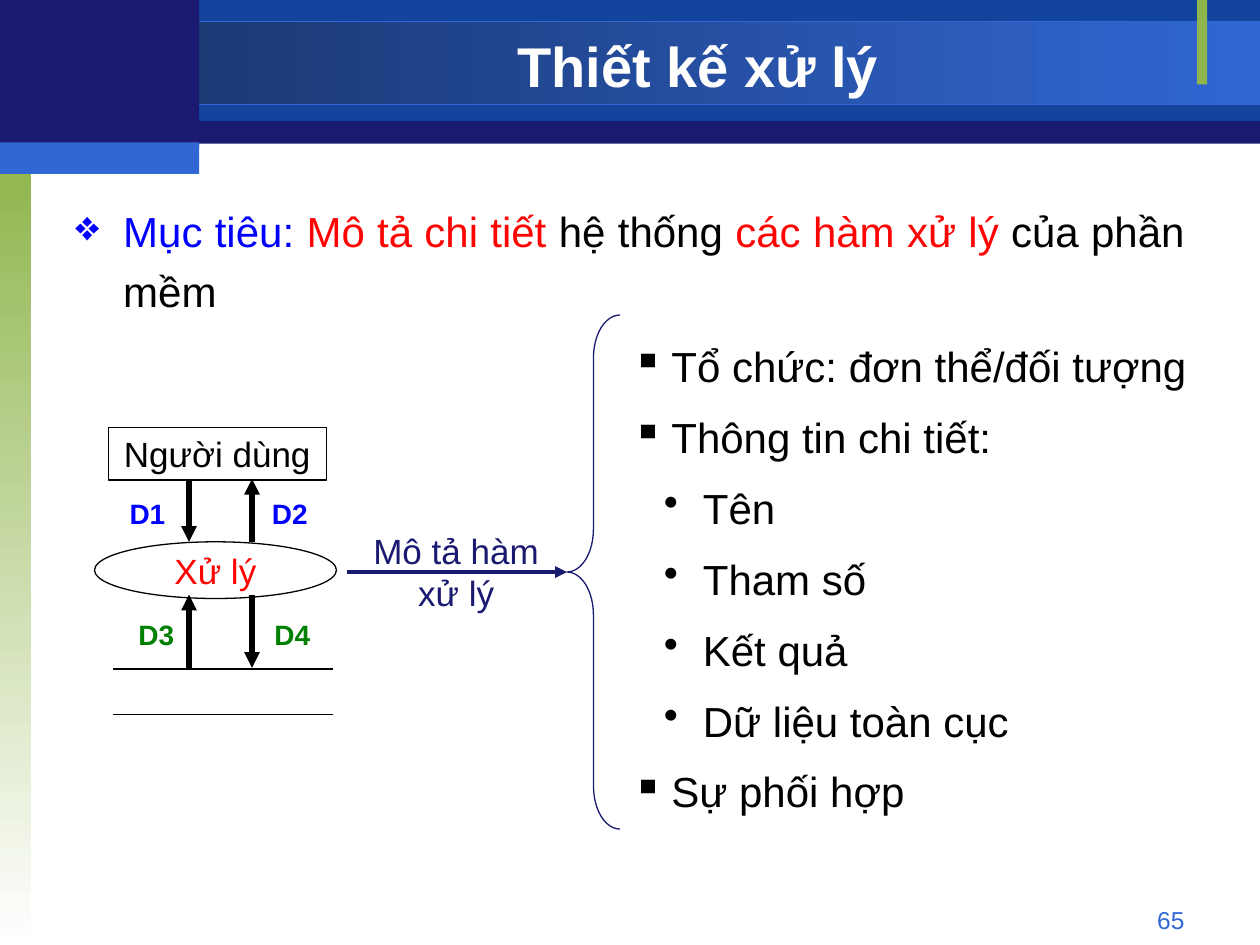
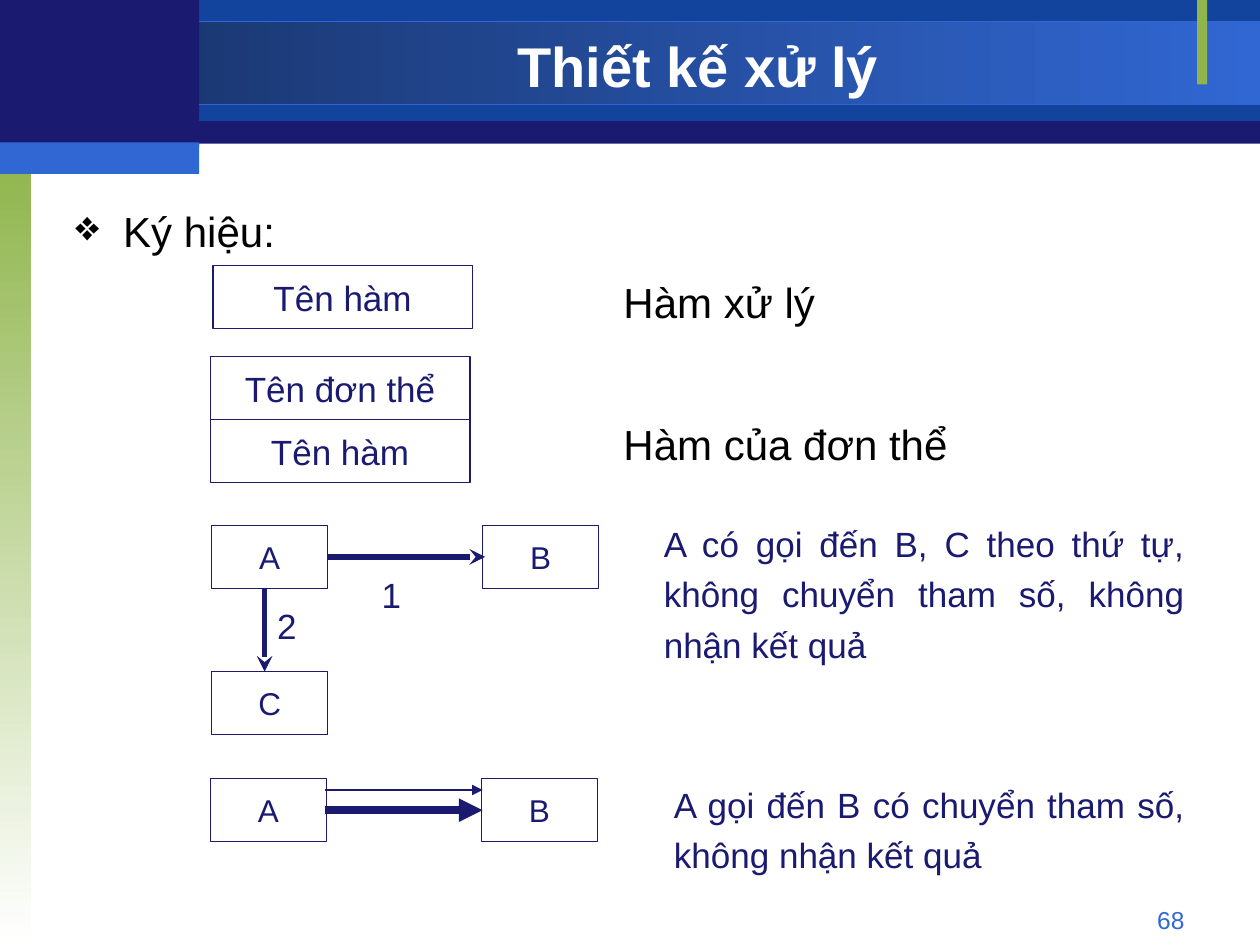
import dataclasses

import pptx
import pptx.dml.color
import pptx.enum.dml
import pptx.enum.shapes
import pptx.enum.text
import pptx.oxml
import pptx.oxml.ns
import pptx.util

Inches = pptx.util.Inches
Pt = pptx.util.Pt
Kind = pptx.enum.shapes.MSO_SHAPE
Align = pptx.enum.text.PP_ALIGN
Anchor = pptx.enum.text.MSO_ANCHOR
Fit = pptx.enum.text.MSO_AUTO_SIZE


@dataclasses.dataclass(frozen=True)
class Theme:
    font: str = "Arial"
    navy: str = "1A1A70"
    blue: str = "12449E"
    sky: str = "3167D3"
    dusk: str = "173062"
    leaf: str = "90B54D"
    white: str = "FFFFFF"
    black: str = "000000"
    red: str = "FF0303"
    link: str = "0000FF"
    green: str = "008000"
    head: int = 32
    body: int = 24
    note: int = 20
    node: int = 18
    tag: int = 16
    foot: int = 14
    thin: float = 0.75
    lead: float = 1.2


def color(code):
    return pptx.dml.color.RGBColor.from_string(code)


def make(tag, **attrs):
    item = pptx.oxml.parse_xml(f"<a:{tag} {pptx.oxml.ns.nsdecls('a')}/>")
    for name, value in attrs.items():
        item.set(name, value)
    return item


class Deck:
    def __init__(self, theme):
        self.theme = theme
        self.show = pptx.Presentation()
        self.show.slide_width = Inches(10)
        self.show.slide_height = Inches(7.5)
        self.slide = None

    def page(self, title, number):
        t = self.theme
        self.slide = self.show.slides.add_slide(self.show.slide_layouts[5])
        if len(self.show.slides) == 1:
            self.frame()
        head = self.slide.shapes.title
        head.left, head.top = Inches(1.58), Inches(0.23)
        head.width, head.height = Inches(7.92), Inches(0.58)
        self.setup(head.text_frame, anchor=Anchor.MIDDLE)
        self.para(head.text_frame, [(title, t.white)], t.head, Align.CENTER, bold=True)
        self.text((7.17, 7.13, 2.33, 0.27), str(number), t.sky, t.foot, Align.RIGHT)

    def frame(self):
        t = self.theme
        bands = [
            ((0, 0.01, 10, 1.13), t.navy, None, 0),
            ((1.58, 0, 8.42, 0.96), t.blue, None, 0),
            ((0, 0.17, 10, 0.66), (t.dusk, t.sky), t.sky, 0),
            ((0, 1.25, 0.25, 6.25), (t.leaf, t.white), None, 270),
            ((9.5, 0, 0.08, 0.67), t.leaf, None, 0),
            ((0, 0, 1.58, 1.17), t.navy, None, 0),
            ((0, 1.13, 1.58, 0.25), t.sky, None, 0),
        ]
        tree = self.slide.slide_layout.shapes.element
        for index, (area, fill, line, angle) in enumerate(bands):
            band = self.shape(Kind.RECTANGLE, area, line, fill, angle)
            band.element.nvSpPr.cNvPr.id = 100 + index
            tree.insert(2 + index, band.element)

    def shape(self, kind, area, line=None, fill=None, angle=0):
        item = self.slide.shapes.add_shape(kind, *map(Inches, area))
        item.shadow.inherit = False
        if fill is None:
            item.fill.background()
        elif isinstance(fill, tuple):
            item.fill.gradient()
            item.fill.gradient_angle = angle
            for stop, code in zip(item.fill.gradient_stops, fill):
                stop.color.rgb = color(code)
        else:
            item.fill.solid()
            item.fill.fore_color.rgb = color(fill)
        if line:
            item.line.color.rgb = color(line)
            item.line.width = Pt(self.theme.thin)
        else:
            item.line.fill.background()
        return item

    def node(self, area, label, line, ink=None, size=None, kind=Kind.RECTANGLE):
        item = self.shape(kind, area, line)
        self.setup(item.text_frame, False, Anchor.MIDDLE)
        self.para(item.text_frame, [(label, ink or line)],
                  size or self.theme.note, Align.CENTER)

    def line(self, start, end, ink, width, tip=None):
        item = self.slide.shapes.add_connector(
            pptx.enum.shapes.MSO_CONNECTOR.STRAIGHT, *map(Inches, (*start, *end)))
        item.line.color.rgb = color(ink)
        item.line.width = Pt(width)
        props = item.element.spPr
        if tip:
            props.find(pptx.oxml.ns.qn("a:ln")).append(make("tailEnd", type=tip))
        props.append(make("effectLst"))

    def setup(self, frame, wrap=True, anchor=Anchor.TOP):
        frame.word_wrap = wrap
        frame.auto_size = Fit.NONE
        frame.vertical_anchor = anchor

    def box(self, area, wrap=True):
        frame = self.slide.shapes.add_textbox(*map(Inches, area)).text_frame
        self.setup(frame, wrap)
        return frame

    def text(self, area, words, ink, size, align=Align.LEFT, lead=None,
             bold=False, wrap=True):
        self.para(self.box(area, wrap), [(words, ink)], size, align, lead, bold=bold)

    def para(self, frame, runs, size, align=Align.LEFT, lead=None, gap=0,
             mark=None, ink=None, left=0, hang=0, bold=False):
        first = not frame.paragraphs[0].runs
        para = frame.paragraphs[0] if first else frame.add_paragraph()
        props = para._p.get_or_add_pPr()
        props.set("marL", str(Inches(left)))
        props.set("indent", str(Inches(-hang)))
        if mark:
            tint = make("buClr")
            tint.append(make("srgbClr", val=ink))
            props.append(tint)
            props.append(make("buChar", char=mark))
        else:
            props.append(make("buNone"))
        para.alignment = align
        if lead:
            para.line_spacing = lead
        para.space_before = Pt(0 if first else gap)
        for words, shade in runs:
            run = para.add_run()
            run.text = words
            run.font.name = self.theme.font
            run.font.size = Pt(size)
            run.font.bold = bold
            run.font.color.rgb = color(shade)

    def point(self, frame, runs, ink):
        self.para(frame, runs, self.theme.body, Align.JUSTIFY, self.theme.lead,
                  mark="❖", ink=ink, left=0.38, hang=0.38)


TITLE = "Thiết kế xử lý"
BODY = (0.5, 1.5, 9, 5.5)


def goals(deck):
    t = deck.theme
    deck.page(TITLE, 65)
    deck.point(deck.box(BODY), [
        ("Mục tiêu: ", t.link),
        ("Mô tả chi tiết", t.red),
        (" hệ thống ", t.black),
        ("các hàm xử lý", t.red),
        (" của phần mềm", t.black),
    ], t.link)

    deck.node((0.86, 3.39, 1.73, 0.42), "Người dùng", t.black)
    for y in (5.31, 5.67):
        deck.line((0.9, y), (2.64, y), t.black, t.thin)
    for x, start, end in ((1.5, 3.81, 4.3), (2, 4.3, 3.8), (1.5, 5.3, 4.72), (2, 4.72, 5.3)):
        deck.line((x, start), (x, end), t.black, 3, "triangle")
    for label, x, y, ink in (("D1", 0.93, 3.89, t.link), ("D2", 2.06, 3.89, t.link),
                             ("D3", 1, 4.85, t.green), ("D4", 2.08, 4.85, t.green)):
        deck.text((x, y, 0.48, 0.37), label, ink, t.tag, bold=True, wrap=False)
    deck.node((0.75, 4.3, 1.92, 0.45), "Xử lý", t.black, t.red, kind=Kind.OVAL)

    deck.line((2.75, 4.54), (4.5, 4.54), t.navy, 2.25, "triangle")
    deck.text((2.83, 4.15, 1.58, 0.77), "Mô tả hàm xử lý", t.navy, t.note, Align.CENTER)
    brace = deck.shape(Kind.LEFT_BRACE, (4.5, 2.5, 0.42, 4.08), t.navy)
    brace.adjustments[0] = 0.81

    parts = deck.box((4.92, 2.57, 4.75, 3.96))
    for level, words in ((0, "Tổ chức: đơn thể/đối tượng"), (0, "Thông tin chi tiết:"),
                         (1, "Tên"), (1, "Tham số"), (1, "Kết quả"),
                         (1, "Dữ liệu toàn cục"), (0, "Sự phối hợp")):
        deck.para(parts, [(words, t.black)], t.body, lead=t.lead, gap=6,
                  mark="▪•"[level], ink=t.black, left=0.31 + 0.25 * level, hang=0.31)


def signs(deck):
    t = deck.theme
    deck.page(TITLE, 68)
    body = deck.box(BODY)
    deck.point(body, [("Ký hiệu:", t.black)], t.black)
    for words, gap in (("Hàm xử lý", 6), ("Hàm của đơn thể", 46.6)):
        deck.para(body, [(words, t.black)], t.body, lead=t.lead, gap=gap, left=4.35)

    for label, x, y in (("Tên hàm", 1.69, 2.11), ("Tên đơn thể", 1.67, 2.83),
                        ("Tên hàm", 1.67, 3.33)):
        deck.node((x, y, 2.06, 0.5), label, t.navy)
    for label, x, y in (("A", 1.68, 4.17), ("B", 3.83, 4.17), ("C", 1.68, 5.33),
                        ("A", 1.67, 6.18), ("B", 3.82, 6.18)):
        deck.node((x, y, 0.92, 0.5), label, t.navy, size=t.node)
    for start, end, width, tip in (((2.6, 4.42), (3.85, 4.42), 3, "stealth"),
                                   ((2.1, 4.67), (2.1, 5.33), 3, "stealth"),
                                   ((2.58, 6.43), (3.83, 6.43), 4.5, "triangle"),
                                   ((2.58, 6.27), (3.83, 6.27), 1.5, "triangle")):
        deck.line(start, end, t.navy, width, tip)
    for label, x, y in (("1", 2.93, 4.5), ("2", 2.1, 4.75)):
        deck.text((x, y, 0.58, 0.44), label, t.navy, t.note)
    for area, words in (
        ((5.17, 4.03, 4.33, 1.3),
         "A có gọi đến B, C theo thứ tự, không chuyển tham số, không nhận kết quả"),
        ((5.25, 6.1, 4.25, 0.9), "A gọi đến B có chuyển tham số, không nhận kết quả"),
    ):
        deck.text(area, words, t.navy, t.note, Align.JUSTIFY, t.lead)


def main():
    deck = Deck(Theme())
    goals(deck)
    signs(deck)
    deck.show.save("out.pptx")


if __name__ == "__main__":
    main()
